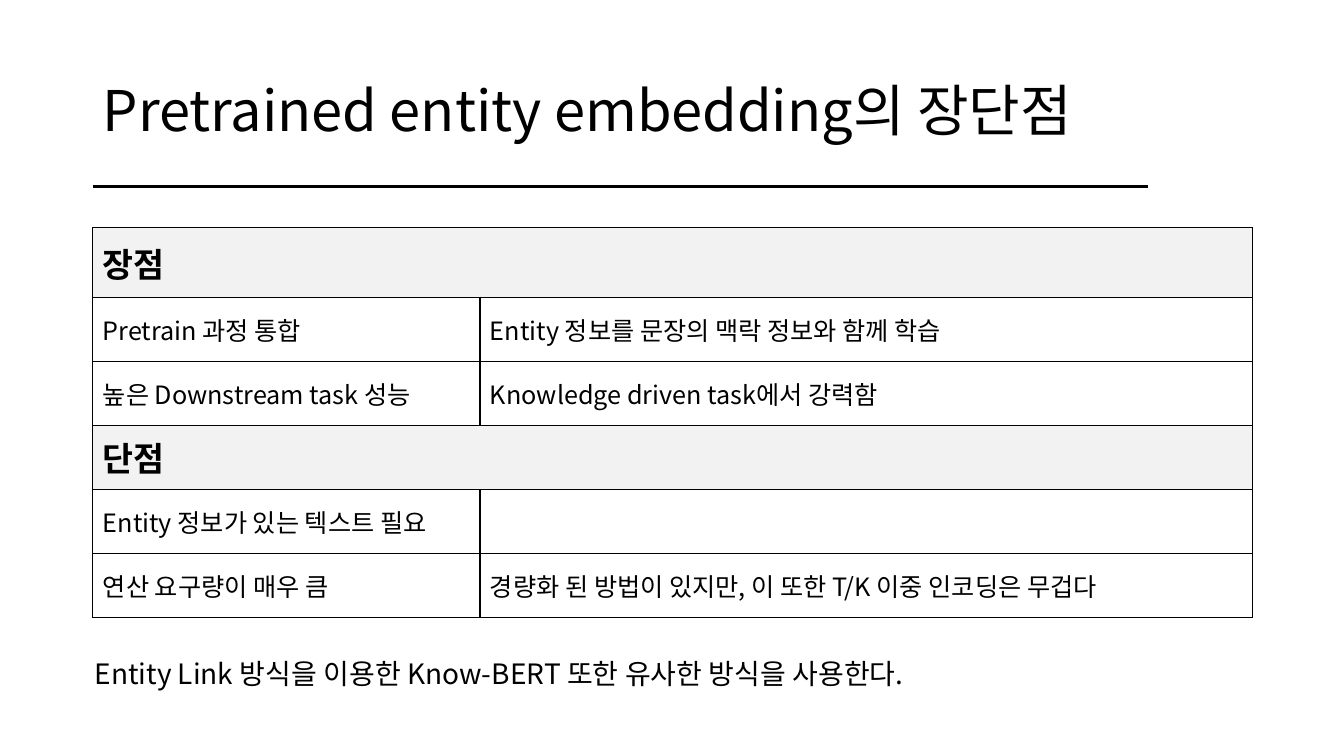
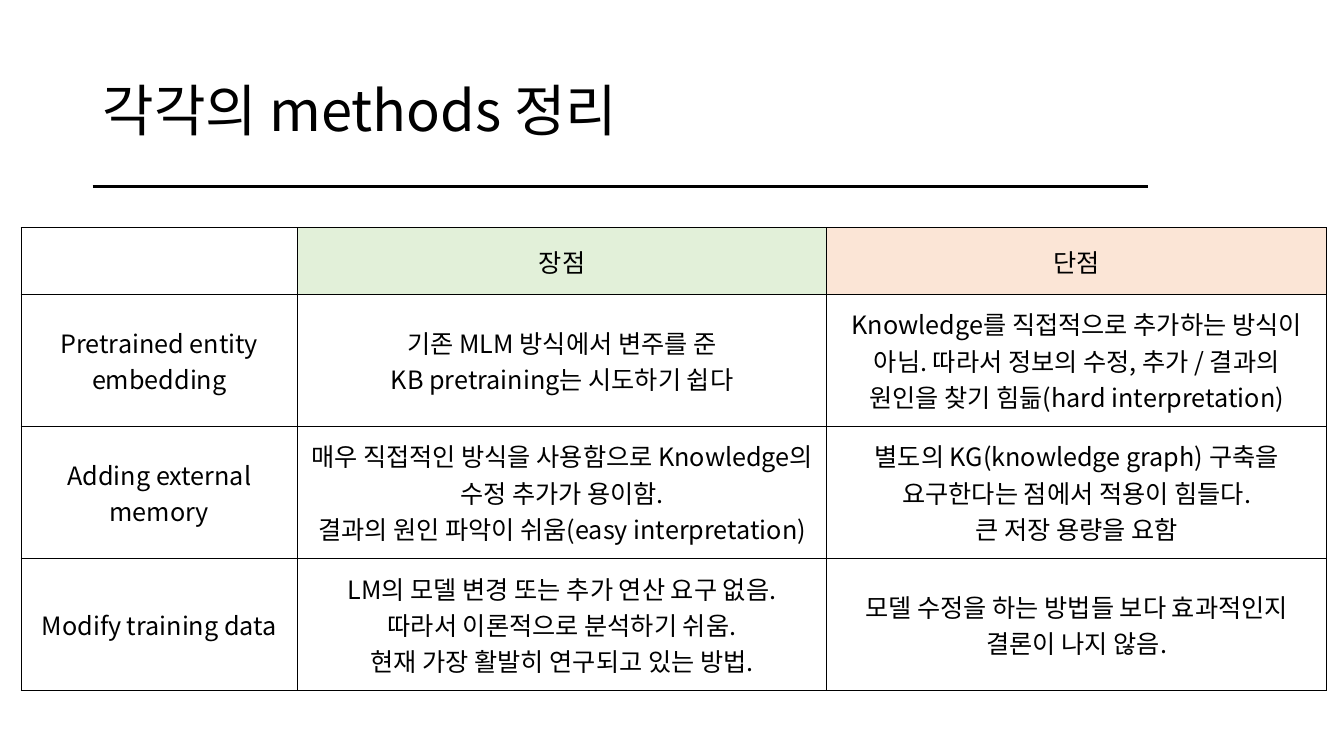
from dataclasses import dataclass

from lxml.etree import SubElement
from pptx import Presentation
from pptx.dml.color import RGBColor
from pptx.enum.shapes import MSO_CONNECTOR
from pptx.enum.text import MSO_ANCHOR, PP_ALIGN
from pptx.oxml.ns import qn
from pptx.util import Inches, Pt


@dataclass(frozen=True)
class Theme:
    font: str = "Noto Sans CJK KR"
    ink: str = "000000"
    paper: str = "FFFFFF"
    band: str = "F2F2F2"
    good: str = "E2F0D9"
    bad: str = "FBE5D6"
    title: int = 40
    head: int = 24
    note: int = 20
    body: int = 18
    rule: float = 2.25
    edge: int = 1


THEME = Theme()
WIDTH, HEIGHT = Inches(13.33), Inches(7.5)

# Shares of the slide, in percent
LEFT, SPAN, TOP = 6.9, 86.27, 30.13


def wide(share):
    return round(WIDTH * share / 100)


def tall(share):
    return round(HEIGHT * share / 100)


def apply(item, values):
    for name, value in values.items():
        setattr(item, name, value)


def write(frame, text, size, bold=False, **form):
    """Fill a frame with one paragraph for each line of text."""
    for num, line in enumerate(text.split("\n")):
        para = frame.add_paragraph() if num else frame.paragraphs[0]
        apply(para, form)
        run = para.add_run()
        run.text = line
        apply(run.font, {"name": THEME.font, "size": Pt(size), "bold": bold})
        run.font.color.rgb = RGBColor.from_string(THEME.ink)
        SubElement(run.font._element, qn("a:ea"), typeface=THEME.font)


def label(slide, box, text, size, anchor=MSO_ANCHOR.TOP, **form):
    left, top, width, height = box
    shape = slide.shapes.add_textbox(
        wide(left), tall(top), wide(width), tall(height))
    apply(shape.text_frame, {"word_wrap": True, "vertical_anchor": anchor})
    write(shape.text_frame, text, size, **form)


def rule(slide):
    y = tall(24.67)
    line = slide.shapes.add_connector(
        MSO_CONNECTOR.STRAIGHT, wide(LEFT), y, wide(85.45), y)
    line.line.color.rgb = RGBColor.from_string(THEME.ink)
    line.line.width = Pt(THEME.rule)
    SubElement(line._element.spPr, qn("a:effectLst"))


def page(deck, title):
    """Add a slide with the shared title and rule."""
    slide = deck.slides.add_slide(deck.slide_layouts[6])
    rule(slide)
    label(slide, (LEFT, 5.33, SPAN, 19.33), title, THEME.title,
          MSO_ANCHOR.MIDDLE, line_spacing=0.9)
    return slide


def frame(cell):
    """Draw the four borders of a cell."""
    props = cell._tc.get_or_add_tcPr()
    for side in ("lnL", "lnR", "lnT", "lnB"):
        edge = SubElement(props, qn(f"a:{side}"), w=str(Pt(THEME.edge)))
        fill = SubElement(edge, qn("a:solidFill"))
        SubElement(fill, qn("a:srgbClr"), val=THEME.ink)


def paint(cell, color):
    cell.fill.solid()
    cell.fill.fore_color.rgb = RGBColor.from_string(color)


def grid(slide, left, cols, rows, data, align, fills):
    """Add a table; a row with a single text spans all columns."""
    table = slide.shapes.add_table(
        len(rows), len(cols), wide(left), tall(TOP),
        wide(sum(cols)), tall(sum(rows))).table
    apply(table, {"first_row": False, "horz_banding": False})
    for col, share in zip(table.columns, cols):
        col.width = wide(share)
    for y, (share, texts) in enumerate(zip(rows, data)):
        table.rows[y].height = tall(share)
        band = len(texts) == 1
        for x in range(len(cols)):
            cell = table.cell(y, x)
            cell.vertical_anchor = MSO_ANCHOR.MIDDLE
            frame(cell)
            paint(cell, THEME.band if band else fills.get((y, x), THEME.paper))
            if x < len(texts) and texts[x]:
                size = THEME.head if band else THEME.body
                write(cell.text_frame, texts[x], size, band, alignment=align)
        if band:
            table.cell(y, 0).merge(table.cell(y, len(cols) - 1))


def entity(deck):
    slide = page(deck, "Pretrained entity embedding의 장단점")
    data = [
        ["장점"],
        ["Pretrain 과정 통합", "Entity 정보를 문장의 맥락 정보와 함께 학습"],
        ["높은 Downstream task 성능", "Knowledge driven task에서 강력함"],
        ["단점"],
        ["Entity 정보가 있는 텍스트 필요", ""],
        ["연산 요구량이 매우 큼",
         "경량화 된 방법이 있지만, 이 또한 T/K 이중 인코딩은 무겁다"],
    ]
    grid(slide, LEFT, [28.81, 57.46], [9.2] + [8.47] * 5, data,
         PP_ALIGN.LEFT, {})
    label(slide, (6.3, 86.13, 72.54, 5.87),
          "Entity Link 방식을 이용한 Know-BERT 또한 유사한 방식을 사용한다.",
          THEME.note)


def methods(deck):
    slide = page(deck, "각각의 methods 정리")
    data = [
        ["", "장점", "단점"],
        ["Pretrained entity embedding",
         "기존 MLM 방식에서 변주를 준\nKB pretraining는 시도하기 쉽다",
         "Knowledge를 직접적으로 추가하는 방식이 아님. 따라서 정보의 수정, "
         "추가 / 결과의 원인을 찾기 힘듦(hard interpretation)"],
        ["Adding external memory",
         "매우 직접적인 방식을 사용함으로 Knowledge의 수정 추가가 용이함.\n"
         "결과의 원인 파악이 쉬움(easy interpretation)",
         "별도의 KG(knowledge graph) 구축을 요구한다는 점에서 적용이 힘들다.\n"
         "큰 저장 용량을 요함"],
        ["Modify training data",
         "LM의 모델 변경 또는 추가 연산 요구 없음.\n"
         "따라서 이론적으로 분석하기 쉬움.\n"
         "현재 가장 활발히 연구되고 있는 방법.",
         "모델 수정을 하는 방법들 보다 효과적인지 결론이 나지 않음."],
    ]
    grid(slide, 1.58, [20.55, 39.38, 37.21], [8.8] + [17.47] * 3, data,
         PP_ALIGN.CENTER, {(0, 1): THEME.good, (0, 2): THEME.bad})


def main():
    deck = Presentation()
    apply(deck, {"slide_width": WIDTH, "slide_height": HEIGHT})
    entity(deck)
    methods(deck)
    deck.save("out.pptx")


if __name__ == "__main__":
    main()
